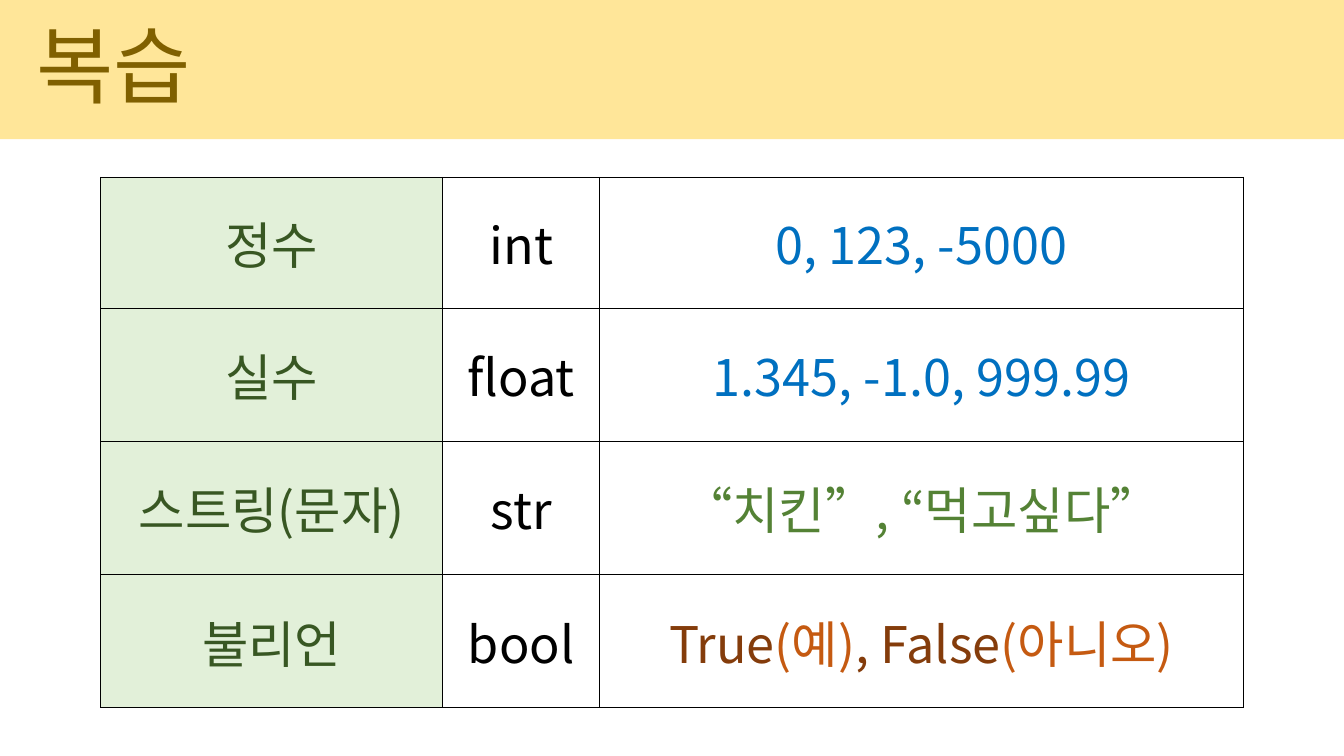
from dataclasses import dataclass

from lxml import etree
from pptx import Presentation
from pptx.dml.color import RGBColor
from pptx.enum.shapes import MSO_SHAPE
from pptx.enum.text import MSO_ANCHOR, MSO_AUTO_SIZE, PP_ALIGN
from pptx.oxml.ns import qn
from pptx.util import Inches, Pt

RECTANGLE = MSO_SHAPE.RECTANGLE
MIDDLE = MSO_ANCHOR.MIDDLE
FIT_SHAPE = MSO_AUTO_SIZE.SHAPE_TO_FIT_TEXT
CENTER, LEFT = PP_ALIGN.CENTER, PP_ALIGN.LEFT

FONT = "Noto Sans CJK KR"
BLACK, WHITE = "000000", "FFFFFF"
BAND_FILL, TITLE_COLOR = "FFE699", "806000"
NAME_FILL, NAME_COLOR = "E2F0D9", "385723"
NUMBER_COLOR, STRING_COLOR = "0070C0", "548235"
VALUE_COLOR, MEANING_COLOR = "843C0B", "C55A11"

COLUMN_WIDTHS = (3.39, 1.56, 6.38)
ROW_HEIGHTS = (1.3, 1.32, 1.32, 1.32)


@dataclass(frozen=True)
class Span:
    text: str
    color: str


@dataclass(frozen=True)
class DataType:
    name: str
    keyword: str
    examples: tuple[Span, ...]


DATA_TYPES = (
    DataType("정수", "int", (Span("0, 123, -5000", NUMBER_COLOR),)),
    DataType("실수", "float", (Span("1.345, -1.0, 999.99", NUMBER_COLOR),)),
    DataType("스트링(문자)", "str", (Span("“치킨”, “먹고싶다”", STRING_COLOR),)),
    DataType("불리언", "bool", (
        Span("True", VALUE_COLOR),
        Span("(예)", MEANING_COLOR),
        Span(", False", VALUE_COLOR),
        Span("(아니오)", MEANING_COLOR),
    )),
)


def rgb(color: str) -> RGBColor:
    return RGBColor.from_string(color)


def write(frame, spans: tuple[Span, ...], *, size: float, align=LEFT) -> None:
    """Fill the first paragraph of a text frame with coloured spans."""
    para = frame.paragraphs[0]
    para.alignment = align
    for span in spans:
        run = para.add_run()
        run.text = span.text
        run.font.size = Pt(size)
        run.font.name = FONT
        run.font.color.rgb = rgb(span.color)
        # Korean glyphs take the East Asian typeface
        etree.SubElement(run.font._element, qn("a:ea"), typeface=FONT)


def add_borders(cell, color: str, width: float) -> None:
    properties = cell._tc.get_or_add_tcPr()
    for side in ("lnL", "lnR", "lnT", "lnB"):
        line = etree.SubElement(properties, qn(f"a:{side}"), w=str(Pt(width)))
        fill = etree.SubElement(line, qn("a:solidFill"))
        etree.SubElement(fill, qn("a:srgbClr"), val=color)


def add_type_table(slide) -> None:
    table = slide.shapes.add_table(
        len(DATA_TYPES), len(COLUMN_WIDTHS), Inches(1), Inches(1.76),
        Inches(sum(COLUMN_WIDTHS)), Inches(sum(ROW_HEIGHTS))).table
    table.first_row = table.horz_banding = False
    for column, width in zip(table.columns, COLUMN_WIDTHS):
        column.width = Inches(width)
    for row, height, data_type in zip(table.rows, ROW_HEIGHTS, DATA_TYPES):
        row.height = Inches(height)
        contents = (
            ((Span(data_type.name, NAME_COLOR),), NAME_FILL),
            ((Span(data_type.keyword, BLACK),), WHITE),
            (data_type.examples, WHITE),
        )
        for cell, (spans, fill) in zip(row.cells, contents):
            add_borders(cell, BLACK, 1)
            cell.fill.solid()
            cell.fill.fore_color.rgb = rgb(fill)
            cell.vertical_anchor = MIDDLE
            write(cell.text_frame, spans, size=36, align=CENTER)


def add_title(slide, width: int) -> None:
    band = slide.shapes.add_shape(RECTANGLE, 0, 0, width, Inches(1.38))
    band.shadow.inherit = False
    band.fill.solid()
    band.fill.fore_color.rgb = rgb(BAND_FILL)
    band.line.fill.background()

    box = slide.shapes.add_textbox(
        Inches(0.26), Inches(0.08), Inches(12.15), Inches(1.11))
    box.text_frame.word_wrap = True
    box.text_frame.auto_size = FIT_SHAPE
    write(box.text_frame, (Span("복습", TITLE_COLOR),), size=60)


def main() -> None:
    deck = Presentation()
    deck.slide_width, deck.slide_height = Inches(13.33), Inches(7.5)
    page = deck.slides.add_slide(deck.slide_layouts[6])
    add_type_table(page)
    add_title(page, deck.slide_width)
    deck.save("out.pptx")


if __name__ == "__main__":
    main()
